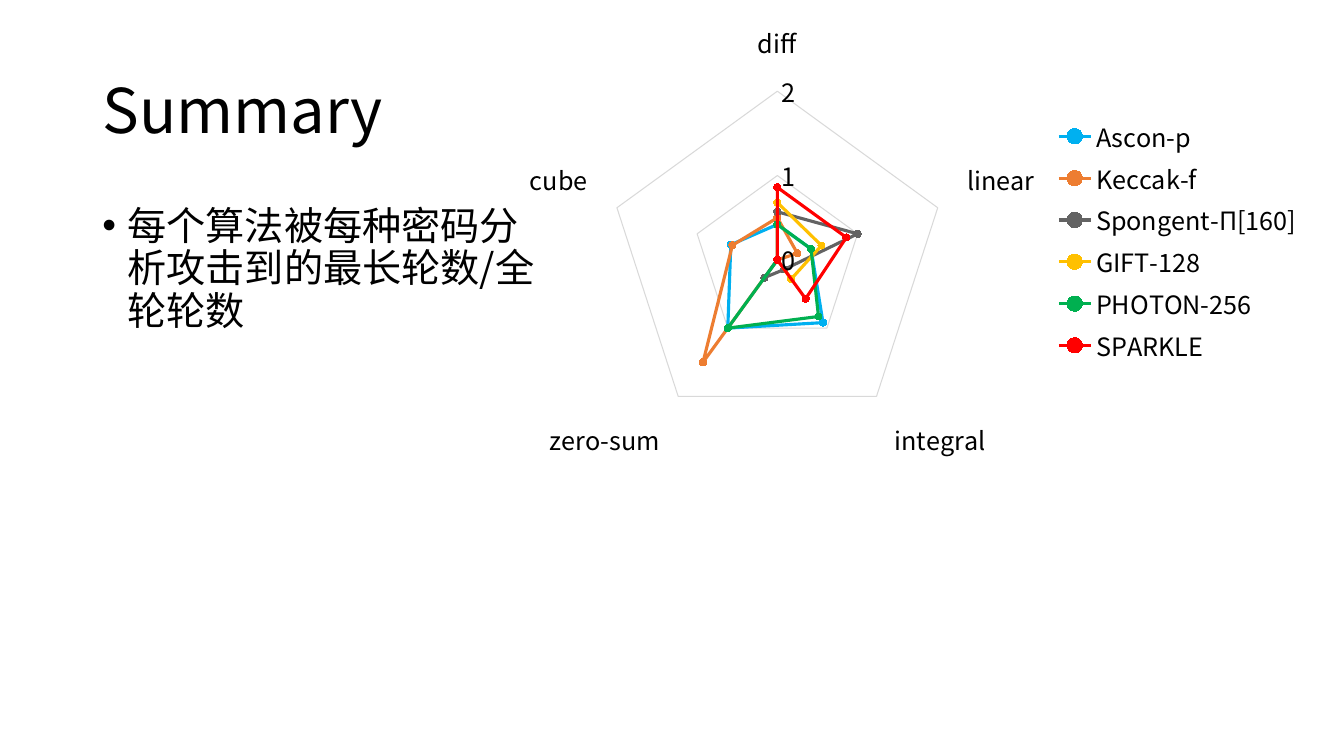
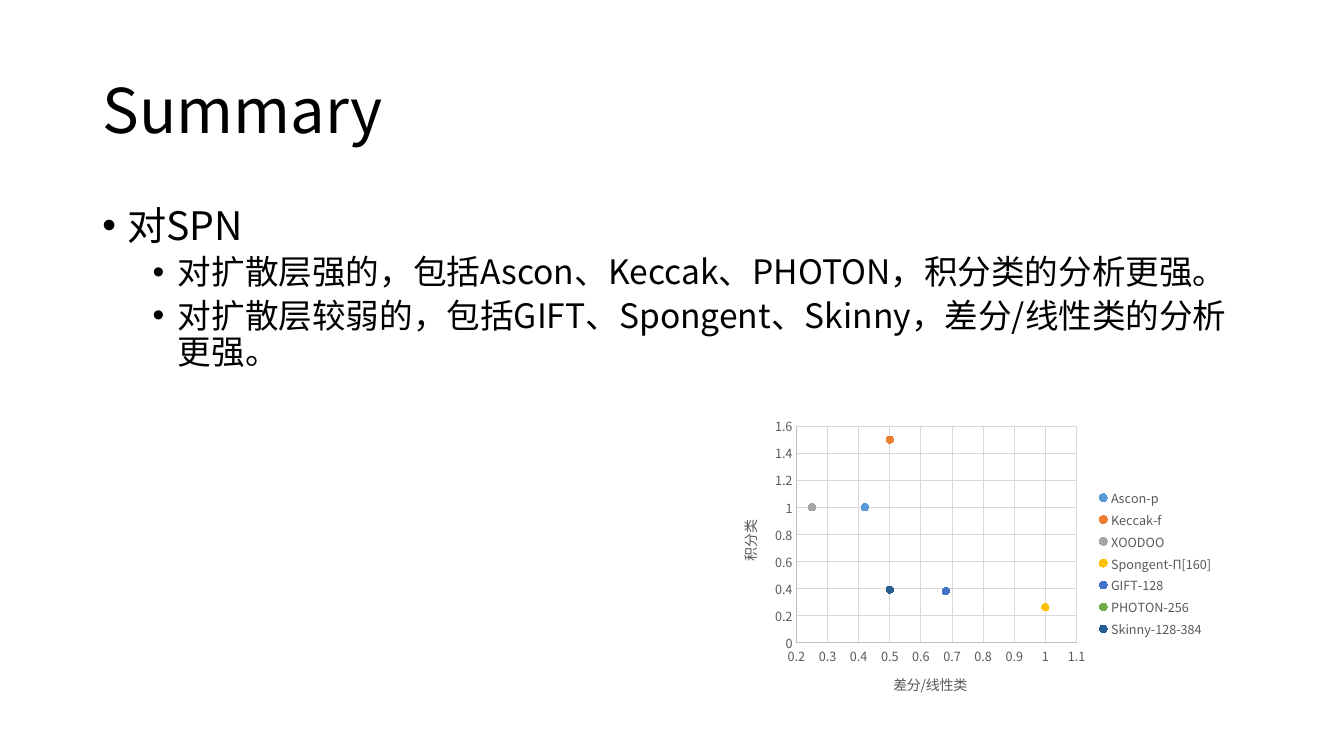
from lxml import etree
from pptx import Presentation
from pptx.chart.data import CategoryChartData, XyChartData
from pptx.dml.color import RGBColor
from pptx.enum.chart import XL_CHART_TYPE as ChartType
from pptx.enum.chart import XL_LEGEND_POSITION as LegendPosition
from pptx.enum.chart import XL_MARKER_STYLE as MarkerStyle
from pptx.enum.chart import XL_TICK_MARK as TickMark
from pptx.enum.lang import MSO_LANGUAGE_ID as Language
from pptx.enum.text import MSO_ANCHOR as Anchor
from pptx.enum.text import MSO_AUTO_SIZE as AutoSize
from pptx.enum.text import PP_ALIGN as Align
from pptx.oxml.ns import qn
from pptx.util import Cm, Pt

FONT = "Noto Sans CJK SC"
BLACK, GREY, AXIS, GRID = "000000", "595959", "BFBFBF", "D9D9D9"
TITLE_ONLY = 5
LEFT, WIDTH = 2.33, 29.21

# Share of rounds reached by each attack, per algorithm
ATTACKS = ["diff", "linear", "integral", "zero-sum", "cube"]
ATTACKED_ROUNDS = [
    ("Ascon-p", "00B0F0", (0.42, 0.42, 0.92, 1, 0.58)),
    ("Keccak-f", "ED7D31", (0.5, 0.25, 0, 1.5, 0.56)),
    ("Spongent-Π[160]", "636363", (0.57, 1, 0.14, 0.26, 0)),
    ("GIFT-128", "FFC000", (0.68, 0.55, 0.28, 0, 0)),
    ("PHOTON-256", "00B050", (0.42, 0.42, 0.83, 1, 0)),
    ("SPARKLE", "FF0000", (0.86, 0.86, 0.57, 0, 0)),
]

# Differential/linear against integral results, per algorithm
COMPARISON = [
    ("Ascon-p", "5B9BD5", (0.42, 1)),
    ("Keccak-f", "ED7D31", (0.5, 1.5)),
    ("XOODOO", "A5A5A5", (0.25, 1)),
    ("Spongent-Π[160]", "FFC000", (1, 0.26)),
    ("GIFT-128", "4472C4", (0.68, 0.38)),
    ("PHOTON-256", "70AD47", (0.42, 1)),
    ("Skinny-128-384", "255E91", (0.5, 0.39)),
]


def rgb(color):
    return RGBColor.from_string(color)


def paint(fill, color):
    fill.solid()
    fill.fore_color.rgb = rgb(color)


def stroke(line, color, width=0.75):
    paint(line.fill, color)
    line.width = Pt(width)


def style_font(font, size, color=BLACK):
    font.size = Pt(size)
    font.bold = False
    font.name = FONT
    paint(font.fill, color)
    # The East Asian typeface is set next to the Latin one
    latin = font._rPr.find(qn("a:latin"))
    east_asian = etree.Element(qn("a:ea"), typeface=FONT)
    latin.addnext(east_asian)


class SlideWriter:
    """Holds the deck, its style and the current slide."""

    levels = [(28, 10, 0.25), (24, 5, 0.75)]  # size, space before, indent

    def __init__(self):
        self.deck = Presentation()
        self.deck.slide_width, self.deck.slide_height = Cm(33.87), Cm(19.05)
        self.page = None

    def new_page(self, title):
        layout = self.deck.slide_layouts[TITLE_ONLY]
        self.page = self.deck.slides.add_slide(layout)
        box = self.page.shapes.title
        box.left, box.top = Cm(LEFT), Cm(1.01)
        box.width, box.height = Cm(WIDTH), Cm(3.68)
        frame = box.text_frame
        frame.text = title
        frame.auto_size = AutoSize.NONE
        frame.vertical_anchor = Anchor.MIDDLE
        para = frame.paragraphs[0]
        para.alignment = Align.LEFT
        para.line_spacing = 0.9
        style_font(para.font, 44)

    def bullets(self, width, items):
        box = self.page.shapes.add_textbox(Cm(LEFT), Cm(5.08), Cm(width), Cm(12.09))
        frame = box.text_frame
        frame.word_wrap = True
        for index, (level, text) in enumerate(items):
            para = frame.add_paragraph() if index else frame.paragraphs[0]
            size, space, indent = self.levels[level]
            para.text = text
            para.level = level
            para.line_spacing = 0.9
            para.space_before = Pt(space)
            self.add_bullet(para, indent)
            style_font(para.font, size)
            para.font.language_id = Language.SIMPLIFIED_CHINESE

    @staticmethod
    def add_bullet(para, indent):
        properties = para._p.get_or_add_pPr()
        properties.set("marL", str(Cm(indent * 2.54)))
        properties.set("indent", str(-Cm(0.25 * 2.54)))
        etree.SubElement(properties, qn("a:buFont"), typeface="Arial")
        etree.SubElement(properties, qn("a:buChar"), char="•")

    def chart(self, kind, place, data, colors, size, color, line_width=None):
        frame = self.page.shapes.add_chart(kind, *map(Cm, place), data)
        chart = frame.chart
        chart.has_title = False
        style_font(chart.font, size, color)
        chart.has_legend = True
        chart.legend.position = LegendPosition.RIGHT
        chart.legend.include_in_layout = False
        style_font(chart.legend.font, size, color)
        plot = chart.plots[0]
        plot.vary_by_categories = False
        for series, series_color in zip(plot.series, colors):
            if line_width:
                stroke(series.format.line, series_color, line_width)
            else:
                series.format.line.fill.background()
            marker = series.marker
            marker.style, marker.size = MarkerStyle.CIRCLE, 5
            paint(marker.format.fill, series_color)
            stroke(marker.format.line, series_color)
        return chart

    @staticmethod
    def axis(axis, size, color, line=None, scale=None, title=None):
        axis.major_tick_mark = axis.minor_tick_mark = TickMark.NONE
        axis.has_major_gridlines = True
        stroke(axis.major_gridlines.format.line, GRID)
        style_font(axis.tick_labels.font, size, color)
        axis.tick_labels.number_format = "General"
        axis.tick_labels.number_format_is_linked = False
        if line:
            stroke(axis.format.line, line)
        else:
            axis.format.line.fill.background()
        if scale:
            axis.minimum_scale, axis.maximum_scale, axis.major_unit = scale
        axis.has_title = bool(title)
        if title:
            frame = axis.axis_title.text_frame
            frame.text = title
            style_font(frame.paragraphs[0].font, 10, color)

    def radar(self, place, categories, rows):
        data = CategoryChartData()
        data.categories = categories
        for name, _, values in rows:
            data.add_series(name, values)
        colors = [color for _, color, _ in rows]
        chart = self.chart(ChartType.RADAR_MARKERS, place, data, colors, 18, BLACK, 2.25)
        self.axis(chart.category_axis, 18, BLACK, GRID)
        self.axis(chart.value_axis, 18, BLACK, scale=(0, 2, 1))

    def scatter(self, place, rows, x_title, y_title):
        data = XyChartData()
        for name, _, point in rows:
            data.add_series(name).add_data_point(*point)
        colors = [color for _, color, _ in rows]
        chart = self.chart(ChartType.XY_SCATTER, place, data, colors, 9, GREY)
        self.axis(chart.category_axis, 9, GREY, AXIS, (0.2, 1.1, 0.1), x_title)
        self.axis(chart.value_axis, 9, GREY, AXIS, (0, 1.6, 0.2), y_title)


def main():
    writer = SlideWriter()

    # Longest attacked rounds
    writer.new_page("Summary")
    writer.bullets(11.76, [(0, "每个算法被每种密码分析攻击到的最长轮数/全轮轮数")])
    writer.radar((12.95, 0, 20.14, 12.14), ATTACKS, ATTACKED_ROUNDS)

    # Comparison of attack classes
    writer.new_page("Summary")
    writer.bullets(WIDTH, [
        (0, "对SPN"),
        (1, "对扩散层强的，包括Ascon、Keccak、PHOTON，积分类的分析更强。"),
        (1, "对扩散层较弱的，包括GIFT、Spongent、Skinny，差分/线性类的分析更强。"),
    ])
    writer.scatter((18.11, 10.36, 12.73, 7.67), COMPARISON, "差分/线性类", "积分类")

    writer.deck.save("out.pptx")


if __name__ == "__main__":
    main()
